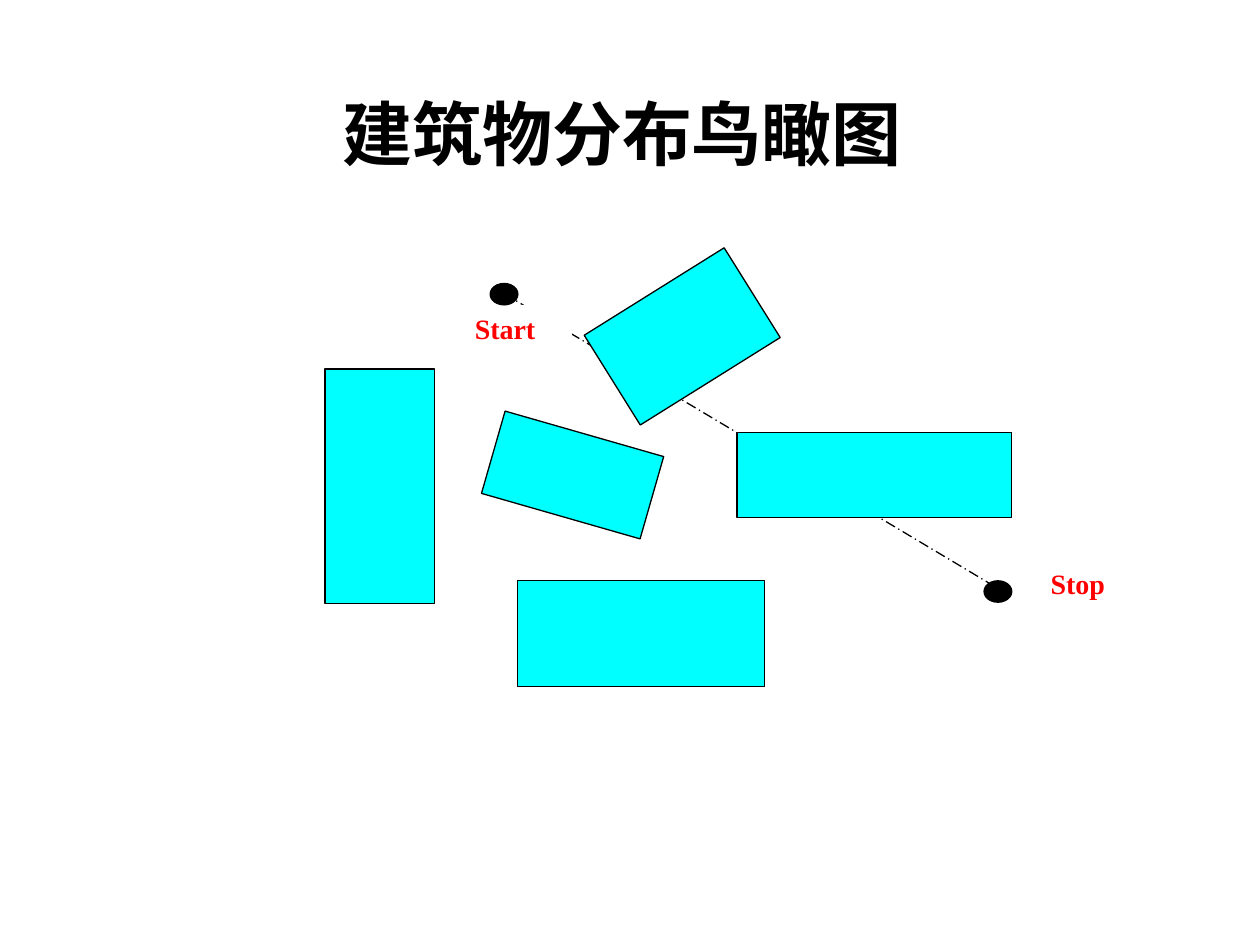
from pptx import Presentation
from pptx.dml.color import RGBColor
from pptx.enum.dml import MSO_LINE_DASH_STYLE as DASH
from pptx.enum.shapes import MSO_CONNECTOR, MSO_SHAPE
from pptx.enum.text import MSO_ANCHOR, PP_ALIGN
from pptx.oxml.ns import qn
from pptx.util import Inches, Pt

# Content: boxes are (left, top, width, height) in inches
TITLE = "建筑物分布鸟瞰图 "
TITLE_BOX = (0.75, 0.67, 8.5, 1.25)
ROUTE = (4, 2.33, 7.92, 4.67)
BUILDINGS = [  # box, rotation in degrees
    ((5.85, 3.43, 2.18, 0.68), 0),
    ((3.89, 3.43, 1.31, 0.68), 16),
    ((4.76, 2.25, 1.31, 0.84), 328),
    ((4.11, 4.61, 1.96, 0.84), 0),
    ((2.58, 2.93, 0.87, 1.86), 0),
]
LABELS = [
    ("Stop", (8.24, 4.45, 1.09, 0.51)),
    ("Start", (3.67, 2.42, 0.87, 0.51)),
]
ENDPOINTS = [(7.81, 4.61, 0.22, 0.17), (3.89, 2.25, 0.22, 0.17)]

THEME = {
    "font": "Times New Roman",
    "title_size": Pt(40),
    "label_size": Pt(16),
    "line_width": Pt(0.75),
    "ink": RGBColor(0x00, 0x00, 0x00),
    "paper": RGBColor(0xFF, 0xFF, 0xFF),
    "building": RGBColor(0x00, 0xFF, 0xFF),
    "label": RGBColor(0xFF, 0x00, 0x00),
}


def inches(values):
    return [Inches(v) for v in values]


def style_line(line):
    line.color.rgb = THEME["ink"]
    line.width = THEME["line_width"]


def add_shape(shapes, kind, box, fill, outlined=True):
    s = shapes.add_shape(kind, *inches(box))
    s.shadow.inherit = False
    s.fill.solid()
    s.fill.fore_color.rgb = THEME[fill]
    if outlined:
        style_line(s.line)
    else:
        s.line.fill.background()
    return s


def set_text(s, text, size, color, align):
    tf = s.text_frame
    tf.text = text
    tf.word_wrap = True
    tf.vertical_anchor = MSO_ANCHOR.TOP
    tf.margin_left = tf.margin_right = Inches(0.1)
    tf.margin_top = tf.margin_bottom = Inches(0.05)
    p = tf.paragraphs[0]
    p.alignment = align
    font = p.runs[0].font
    font.name, font.size, font.bold = THEME["font"], THEME[size], True
    font.color.rgb = THEME[color]


prs = Presentation()
prs.slide_width, prs.slide_height = Inches(10), Inches(7.5)
slide = prs.slides.add_slide(prs.slide_layouts[5])

# Title
title = slide.shapes.title
title.left, title.top, title.width, title.height = inches(TITLE_BOX)
set_text(title, TITLE, "title_size", "ink", PP_ALIGN.CENTER)

# Straight route, behind the buildings
route = slide.shapes.add_connector(MSO_CONNECTOR.STRAIGHT, *inches(ROUTE))
style_line(route.line)
route.line.dash_style = DASH.LONG_DASH_DOT
sp_pr = route._element.spPr
sp_pr.append(sp_pr.makeelement(qn("a:effectLst"), {}))

# Map: labels, buildings and the two end points
site = slide.shapes.add_group_shape().shapes
for text, box in LABELS:
    label = add_shape(site, MSO_SHAPE.RECTANGLE, box, "paper", outlined=False)
    set_text(label, text, "label_size", "label", PP_ALIGN.JUSTIFY)
for box, angle in BUILDINGS:
    add_shape(site, MSO_SHAPE.RECTANGLE, box, "building").rotation = angle
for box in ENDPOINTS:
    add_shape(site, MSO_SHAPE.OVAL, box, "ink")

prs.save("out.pptx")
